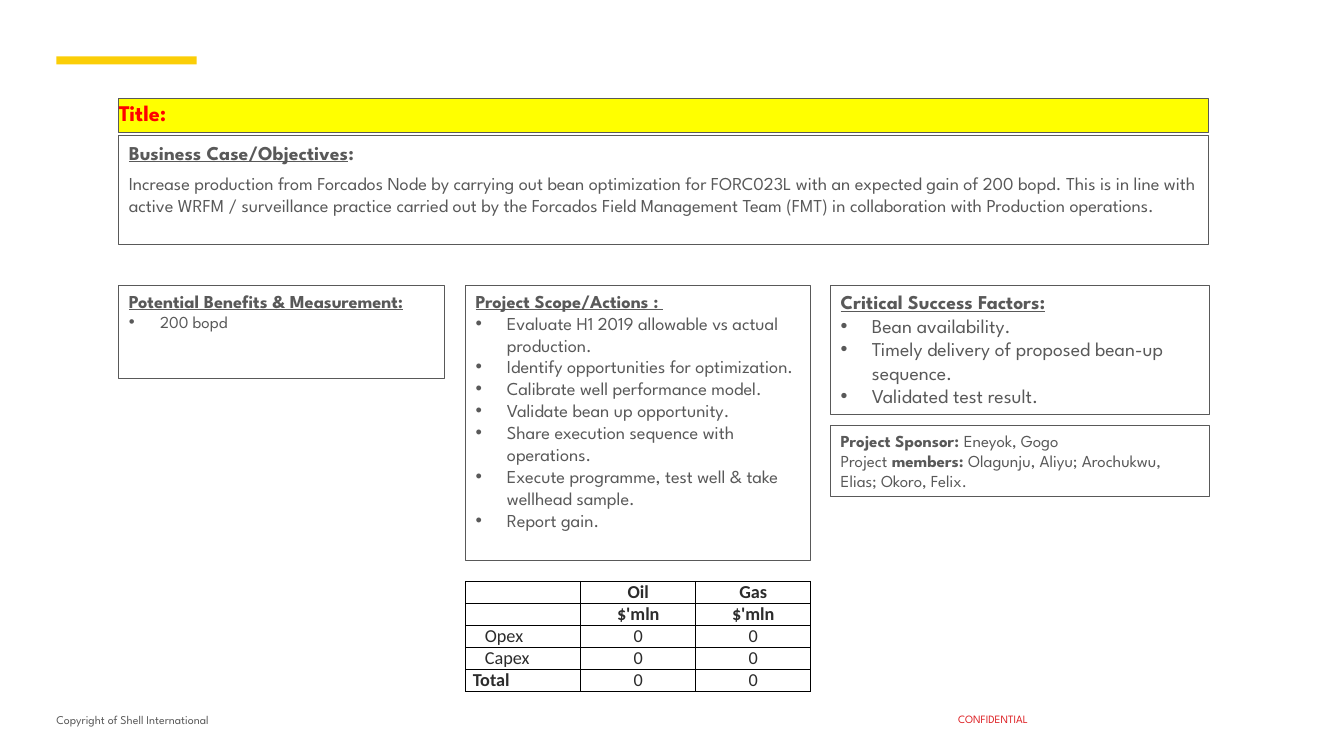
import lxml.etree
import pptx
import pptx.dml.color
import pptx.enum.shapes
import pptx.enum.text
import pptx.oxml.ns
import pptx.util

qn = pptx.oxml.ns.qn
Pt = pptx.util.Pt
Inches = pptx.util.Inches
PP_ALIGN = pptx.enum.text.PP_ALIGN


def color(value):
    return pptx.dml.color.RGBColor.from_string(value)


def add_run(p, text, size=13, hue="595959", font="League Spartan", bold=False, underline=False):
    r = p.add_run()
    r.text = text
    r.font.size = Pt(size)
    r.font.name = font
    r.font.bold = bold
    r.font.underline = underline
    r.font.color.rgb = color(hue)


def add_bullet(p, indent=0.31):
    pPr = p._p.get_or_add_pPr()
    pPr.set("marL", str(Inches(indent)))
    pPr.set("indent", str(-Inches(indent)))
    lxml.etree.SubElement(pPr, qn("a:buFont"), typeface="Arial")
    lxml.etree.SubElement(pPr, qn("a:buChar"), char="•")


def border_cell(cell, hue="000000", width=1):
    tcPr = cell._tc.get_or_add_tcPr()
    for i, side in enumerate(("lnL", "lnR", "lnT", "lnB")):
        ln = lxml.etree.Element(qn("a:" + side), w=str(Pt(width)))
        fill = lxml.etree.SubElement(ln, qn("a:solidFill"))
        lxml.etree.SubElement(fill, qn("a:srgbClr"), val=hue)
        tcPr.insert(i, ln)


class Charter:
    """Project charter slide; every place is given in percent of the slide size."""

    def __init__(self, prs):
        self.prs = prs
        self.s = prs.slides.add_slide(prs.slide_layouts[6])

    def place(self, x, y, w, h):
        width, height = self.prs.slide_width, self.prs.slide_height
        return [int(share * full / 100) for share, full in
                ((x, width), (y, height), (w, width), (h, height))]

    def box(self, *at, fill=None, line="595959", margins=(0.1, 0.05, 0.1, 0.05)):
        """Draw a framed rectangle and return its text frame."""
        sp = self.s.shapes.add_shape(pptx.enum.shapes.MSO_SHAPE.RECTANGLE, *self.place(*at))
        sp.shadow.inherit = False
        if fill:
            sp.fill.solid()
            sp.fill.fore_color.rgb = color(fill)
        else:
            sp.fill.background()
        if line:
            sp.line.color.rgb = color(line)
            sp.line.width = Pt(0.75)
        else:
            sp.line.fill.background()
        return self.prepare(sp.text_frame, margins)

    def prepare(self, tf, margins, wrap=True):
        tf.word_wrap = wrap
        tf.vertical_anchor = pptx.enum.text.MSO_ANCHOR.TOP
        tf.margin_left, tf.margin_top, tf.margin_right, tf.margin_bottom = map(Inches, margins)
        tf.paragraphs[0].alignment = PP_ALIGN.LEFT
        return tf

    def paragraph(self, tf):
        p = tf.add_paragraph()
        p.alignment = PP_ALIGN.LEFT
        return p

    def bullet_box(self, *at, heading, items, heading_size=13, size=13, fill=None):
        tf = self.box(*at, fill=fill)
        add_run(tf.paragraphs[0], heading, size=heading_size, bold=True, underline=True)
        for item in items:
            p = self.paragraph(tf)
            add_bullet(p)
            add_run(p, item, size=size)

    def footer(self, *at, text, size, hue, align=PP_ALIGN.LEFT, wrap=True):
        sp = self.s.shapes.add_textbox(*self.place(*at))
        tf = self.prepare(sp.text_frame, (0, 0, 0, 0.05), wrap)
        tf.paragraphs[0].alignment = align
        add_run(tf.paragraphs[0], text, size=size, hue=hue)

    def cost_table(self, *at, rows):
        place = self.place(*at)
        table = self.s.shapes.add_table(len(rows), len(rows[0]), *place).table
        table.first_row = table.horz_banding = False
        for i, row in enumerate(rows):
            table.rows[i].height = place[3] // len(rows)
            for j, text in enumerate(row):
                self.cost_cell(table.cell(i, j), text, label=j == 0,
                               bold=i < 2 or text == "Total")

    def cost_cell(self, cell, text, label, bold):
        cell.fill.background()
        border_cell(cell)
        cell.vertical_anchor = pptx.enum.text.MSO_ANCHOR.MIDDLE
        cell.margin_left = cell.margin_right = Inches(0.07)
        cell.margin_top = cell.margin_bottom = 0
        p = cell.text_frame.paragraphs[0]
        p.alignment = PP_ALIGN.LEFT if label else PP_ALIGN.CENTER
        if label and not bold:
            p._p.get_or_add_pPr().set("marL", str(Inches(0.12)))
        if text:
            add_run(p, text, hue="2C2C2C", font="Calibri", bold=bold)
        else:
            lxml.etree.SubElement(p._p, qn("a:endParaRPr"), sz="1300")


def main():
    prs = pptx.Presentation()
    prs.slide_width, prs.slide_height = Inches(13.33), Inches(7.5)
    charter = Charter(prs)
    left, middle, right = (8.85, 24.23), (34.66, 25.66), (61.82, 28.2)
    full_width, columns_top = 81.1, 37.73

    charter.box(4.2, 7.47, 10.43, 1.07, fill="FBCE07", line=None)
    charter.footer(4.2, 94.27, 27.53, 3.47, text="Copyright of Shell International",
                   size=8.5, hue="595959", wrap=False)
    charter.footer(69.47, 94.27, 8.85, 2.53, text="CONFIDENTIAL",
                   size=8, hue="DD1D21", align=PP_ALIGN.CENTER)

    title = charter.box(left[0], 13.07, full_width, 4.5, fill="FFFF00", margins=(0, 0, 0, 0))
    add_run(title.paragraphs[0], "Title:", size=16, hue="FF0000", bold=True)

    case = charter.box(left[0], 17.95, full_width, 14.4, fill="FFFFFF")
    add_run(case.paragraphs[0], "Business Case/Objectives", size=14, bold=True, underline=True)
    add_run(case.paragraphs[0], ":", size=14, bold=True)
    p = charter.paragraph(case)
    p.space_before = Pt(6)
    add_run(p, "Increase production from Forcados Node by carrying out bean optimization for "
               "FORC023L with an expected gain of 200 bopd. This is in line with active WRFM / "
               "surveillance practice carried out by the Forcados Field Management Team (FMT) "
               "in collaboration with Production operations.")

    charter.bullet_box(left[0], columns_top, left[1], 12.4, fill="FFFFFF", size=12,
                       heading="Potential Benefits & Measurement:", items=["200 bopd"])
    charter.bullet_box(middle[0], columns_top, middle[1], 36.4,
                       heading="Project Scope/Actions : ",
                       items=["Evaluate H1 2019 allowable vs actual production.",
                              "Identify opportunities for optimization.",
                              "Calibrate well performance model.",
                              "Validate bean up opportunity.",
                              "Share execution sequence with operations.",
                              "Execute programme, test well & take wellhead sample.",
                              "Report gain."])
    charter.bullet_box(right[0], columns_top, right[1], 17.07, heading_size=14, size=14,
                       heading="Critical Success Factors:",
                       items=["Bean availability.",
                              "Timely delivery of proposed bean-up sequence.",
                              "Validated test result."])

    team = charter.box(right[0], 56.27, right[1], 9.47)
    add_run(team.paragraphs[0], "Project Sponsor: ", size=12, bold=True)
    add_run(team.paragraphs[0], "Eneyok, Gogo", size=12)
    p = charter.paragraph(team)
    add_run(p, "Project", size=12)
    add_run(p, " members: ", size=12, bold=True)
    add_run(p, "Olagunju, Aliyu; Arochukwu, Elias; Okoro, Felix.", size=12)

    charter.cost_table(middle[0], 76.93, middle[1], 14.4,
                       rows=[("", "Oil", "Gas"),
                             ("", "$'mln", "$'mln"),
                             ("Opex", "0", "0"),
                             ("Capex", "0", "0"),
                             ("Total", "0", "0")])
    prs.save("out.pptx")


if __name__ == "__main__":
    main()
